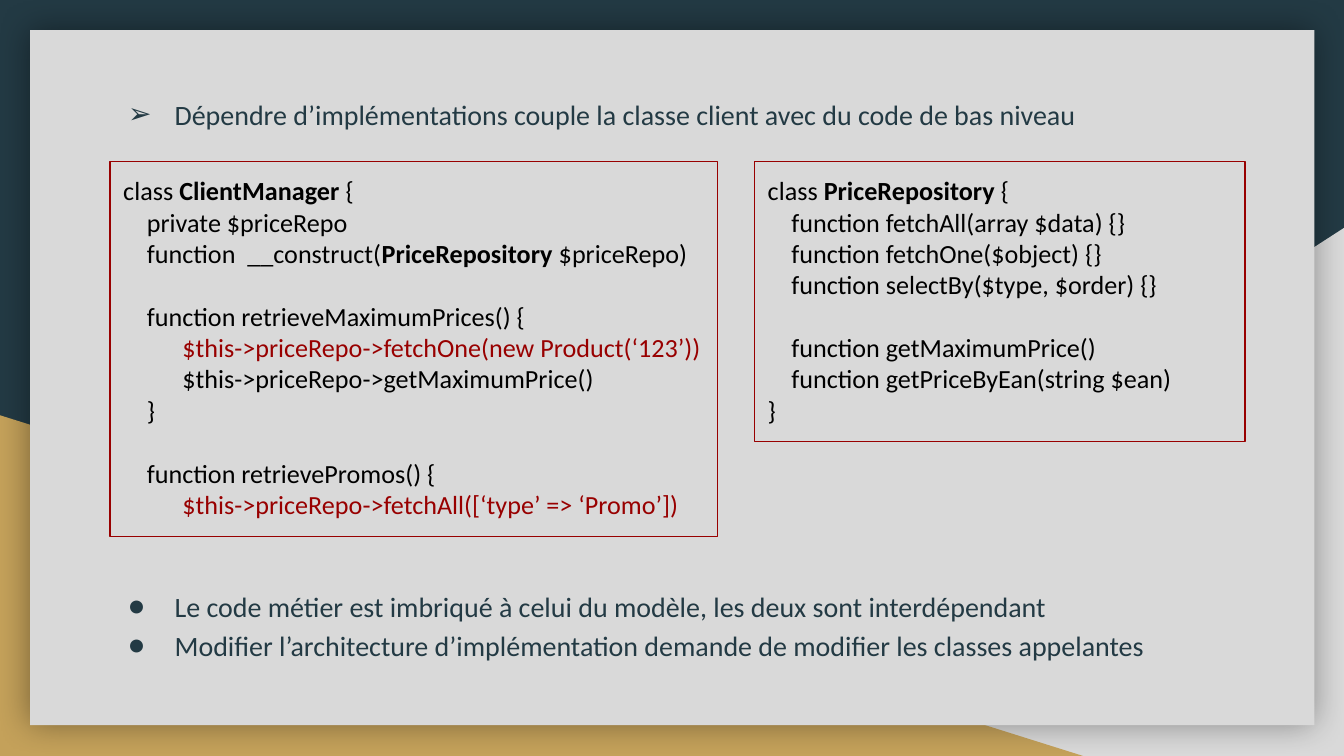
from lxml import etree
from pptx import Presentation
from pptx.dml.color import RGBColor
from pptx.enum.shapes import MSO_SHAPE
from pptx.enum.text import MSO_ANCHOR, MSO_AUTO_SIZE, PP_ALIGN
from pptx.oxml import parse_xml
from pptx.oxml.ns import nsdecls, qn
from pptx.util import Cm, Pt

RECTANGLE = MSO_SHAPE.RECTANGLE
TRIANGLE = MSO_SHAPE.RIGHT_TRIANGLE
TOP = MSO_ANCHOR.TOP
NO_AUTOFIT = MSO_AUTO_SIZE.NONE
LEFT, JUSTIFY = PP_ALIGN.LEFT, PP_ALIGN.JUSTIFY

COLORS = {"night": "233A44", "gray": "D9D9D9", "gold": "C4A15A",
          "red": "980000", "black": "000000"}
FONT = "Calibri"
INSET = Cm(0.25)


def rgb(name):
    return RGBColor.from_string(COLORS[name])


def prepare_frame(frame):
    """Wrap the text from the top, with equal insets."""
    frame.word_wrap = True
    frame.auto_size = NO_AUTOFIT
    frame.vertical_anchor = TOP
    frame.margin_left = frame.margin_right = INSET
    frame.margin_top = frame.margin_bottom = INSET


deck = Presentation()
deck.slide_width, deck.slide_height = Cm(25.4), Cm(14.29)
slide = deck.slides.add_slide(deck.slide_layouts[3])
slide.background.fill.solid()
slide.background.fill.fore_color.rgb = rgb("night")
slide.shapes.title.element.getparent().remove(slide.shapes.title.element)

# Background: two corner triangles and the panel
for preset, color, left, top, width, height in [
    (TRIANGLE, "gray", 9.96, 4.31, 15.44, 9.98),
    (TRIANGLE, "gold", 0, 7.85, 20.47, 6.44),
    (RECTANGLE, "gray", 0.57, 0.57, 24.27, 13.14),
]:
    panel = slide.shapes.add_shape(preset, Cm(left), Cm(top), Cm(width), Cm(height))
    panel.shadow.inherit = False
    panel.fill.solid()
    panel.fill.fore_color.rgb = rgb(color)
    panel.line.fill.background()
    if preset == TRIANGLE and color == "gray":
        panel.element.spPr.find(qn("a:xfrm")).set("flipH", "1")

effects = panel.element.spPr.find(qn("a:effectLst"))
effects.append(parse_xml(
    f'<a:outerShdw {nsdecls("a")} blurRad="{Pt(18)}" dist="0" dir="0" algn="ctr" rotWithShape="0">'
    f'<a:srgbClr val="{COLORS["black"]}"><a:alpha val="40000"/></a:srgbClr></a:outerShdw>'))

# Code boxes: each line is a list of (text, style) runs
price_repository = [
    [("class ", ""), ("PriceRepository ", "bold"), ("{", "")],
    [("    function fetchAll(array $data) {}", "")],
    [("    function fetchOne($object) {}", "")],
    [("    function selectBy($type, $order) {}", "")],
    [],
    [("    function getMaximumPrice()", "")],
    [("    function getPriceByEan(string $ean)", "")],
    [("}", "")],
]
client_manager = [
    [("class ", ""), ("ClientManager ", "bold"), ("{", "")],
    [("    private $priceRepo", "")],
    [("    function  __construct(", ""), ("PriceRepository", "bold"), (" $priceRepo)", "")],
    [],
    [("    function retrieveMaximumPrices() {", "")],
    [("          $this->priceRepo->fetchOne(new Product(‘123’))", "red")],
    [("          $this->priceRepo->getMaximumPrice()", "")],
    [("    }", "")],
    [],
    [("    function retrievePromos() {", "")],
    [("          $this->priceRepo->fetchAll([‘type’ => ‘Promo’])", "red")],
]
for code, left, width, height in [
    (price_repository, 14.26, 9.27, 5.3),
    (client_manager, 2.08, 11.48, 7.09),
]:
    box = slide.shapes.add_shape(RECTANGLE, Cm(left), Cm(3.05), Cm(width), Cm(height))
    box.shadow.inherit = False
    box.fill.background()
    box.line.color.rgb = rgb("red")
    box.line.width = Pt(0.75)
    prepare_frame(box.text_frame)
    for number, line in enumerate(code):
        paragraph = box.text_frame.paragraphs[0] if number == 0 else box.text_frame.add_paragraph()
        paragraph.alignment = LEFT
        for text, style in line:
            run = paragraph.add_run()
            run.text = text
            run.font.name, run.font.size = FONT, Pt(14)
            run.font.bold = style == "bold"
            run.font.color.rgb = rgb("red" if style == "red" else "black")
        if not line:
            line_end = etree.SubElement(paragraph._p, qn("a:endParaRPr"), sz="1400")
            etree.SubElement(line_end, qn("a:latin"), typeface=FONT)

# Bulleted remarks above and below the code
for index, bullet, top, width, height, remarks in [
    (1, "➢", 1.5, 21.31, 1.14,
     ["Dépendre d’implémentations couple la classe client avec du code de bas niveau"]),
    (2, "●", 10.8, 22.1, 1.88,
     ["Le code métier est imbriqué à celui du modèle, les deux sont interdépendant",
      "Modifier l’architecture d’implémentation demande de modifier les classes appelantes"]),
]:
    body = slide.placeholders[index]
    body.left, body.top, body.width, body.height = Cm(1.78), Cm(top), Cm(width), Cm(height)
    slide.shapes._spTree.append(body.element)
    prepare_frame(body.text_frame)
    body.text_frame.text = "\n".join(remarks)
    for paragraph in body.text_frame.paragraphs:
        properties = paragraph._p.get_or_add_pPr()
        properties.set("marL", str(Cm(1.27)))
        properties.set("indent", str(Cm(-0.88)))
        bullet_color = etree.SubElement(properties, qn("a:buClr"))
        etree.SubElement(bullet_color, qn("a:srgbClr"), val=COLORS["night"])
        etree.SubElement(properties, qn("a:buFont"), typeface=FONT)
        etree.SubElement(properties, qn("a:buChar"), char=bullet)
        paragraph.alignment = JUSTIFY
        paragraph.line_spacing = 1.15
        paragraph.space_before = Pt(0)
        for run in paragraph.runs:
            run.font.name, run.font.size = FONT, Pt(15)
            run.font.color.rgb = rgb("night")

deck.save("out.pptx")
